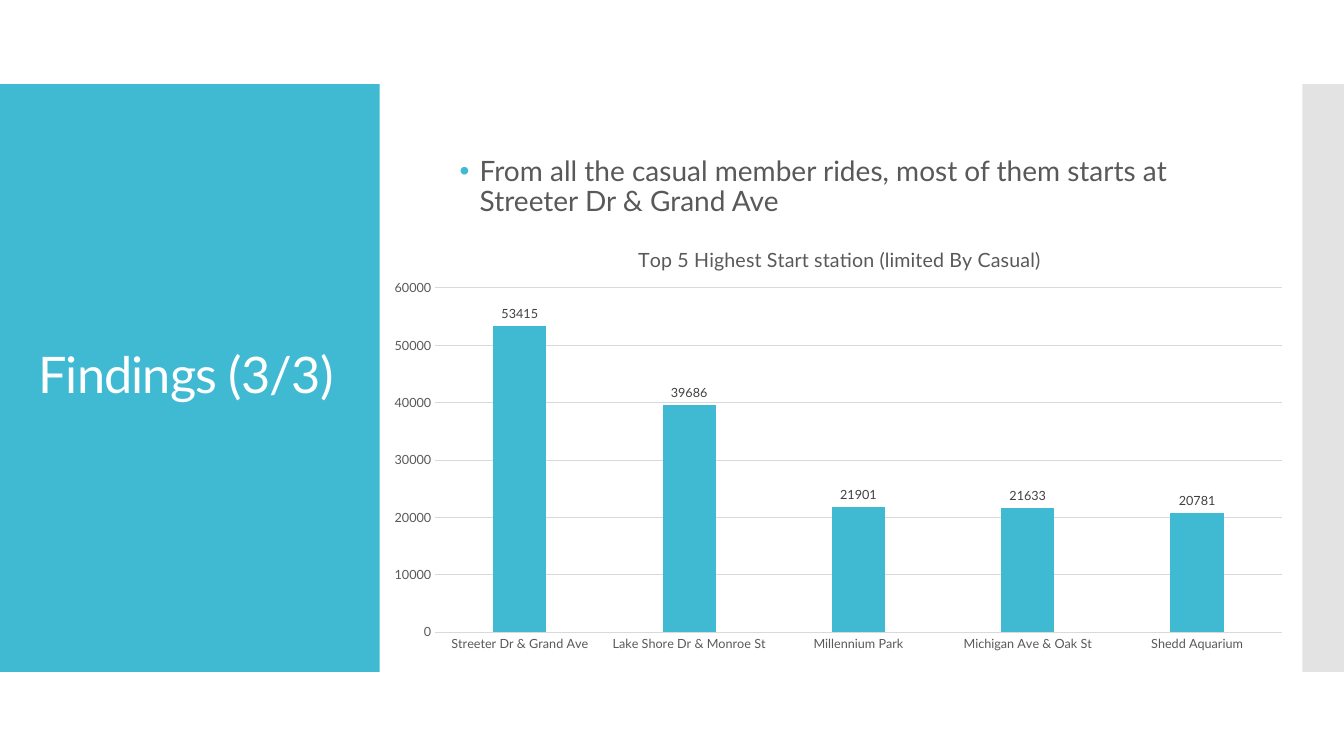
from dataclasses import dataclass
from typing import Any

from pptx import Presentation
from pptx.chart.data import CategoryChartData
from pptx.dml.color import RGBColor
from pptx.enum.chart import XL_CHART_TYPE, XL_LABEL_POSITION, XL_TICK_MARK
from pptx.enum.shapes import MSO_SHAPE
from pptx.enum.text import MSO_ANCHOR
from pptx.oxml import parse_xml
from pptx.oxml.ns import nsdecls, qn
from pptx.util import Pt


@dataclass(frozen=True)
class Theme:
    font: str = "Lato"
    accent: str = "40BAD2"
    strip: str = "C8C8C8"
    white: str = "FFFFFF"
    body: str = "595959"
    label: str = "404040"
    grid: str = "D9D9D9"
    title_size: float = 36
    body_size: float = 20
    chart_title_size: float = 14
    chart_size: float = 9


@dataclass(frozen=True)
class Box:
    left: float
    top: float
    width: float
    height: float

    def lengths(self) -> tuple[Pt, ...]:
        return Pt(self.left), Pt(self.top), Pt(self.width), Pt(self.height)


@dataclass(frozen=True)
class Panel:
    box: Box
    color: str
    opacity: int = 100


@dataclass(frozen=True)
class Passage:
    box: Box
    text: str
    size: float
    color: str
    spacing: int = 0
    bullet: bool = False


THEME = Theme()
BULLET_INDENT = 14.4
BAND_TOP, BAND_HEIGHT = 60, 420

PANELS = (
    Panel(Box(0, BAND_TOP, 271.2, BAND_HEIGHT), THEME.accent),
    Panel(Box(930.4, BAND_TOP, 29.6, BAND_HEIGHT), THEME.strip, 50),
)
PASSAGES = (
    Passage(Box(20.2, 88.6, 231.8, 362), "Findings (3/3)",
            THEME.title_size, THEME.white, spacing=-60),
    Passage(Box(321.2, 89, 576, 90),
            "From all the casual member rides, most of them starts at "
            "Streeter Dr & Grand Ave",
            THEME.body_size, THEME.body, bullet=True),
)
CHART_BOX = Box(268.6, 159.8, 659.5, 312.5)
CHART_TITLE = "Top 5 Highest Start station (limited By Casual)"
RIDES_BY_STATION = {
    "Streeter Dr & Grand Ave": 53415,
    "Lake Shore Dr & Monroe St": 39686,
    "Millennium Park": 21901,
    "Michigan Ave & Oak St": 21633,
    "Shedd Aquarium": 20781,
}


def apply(target: Any, formats: dict[str, Any]) -> None:
    for name, value in formats.items():
        setattr(target, name, value)


def style_font(font: Any, size: float, color: str) -> None:
    apply(font, {"name": THEME.font, "size": Pt(size), "bold": False})
    font.color.rgb = RGBColor.from_string(color)


def draw_panel(slide: Any, panel: Panel) -> None:
    shape = slide.shapes.add_shape(MSO_SHAPE.RECTANGLE, *panel.box.lengths())
    shape.shadow.inherit = False
    shape.line.fill.background()
    shape.fill.solid()
    shape.fill.fore_color.rgb = RGBColor.from_string(panel.color)
    if panel.opacity < 100:
        color = next(shape.element.spPr.iter(qn("a:srgbClr")))
        color.append(parse_xml(
            f'<a:alpha {nsdecls("a")} val="{panel.opacity * 1000}"/>'))


def draw_passage(slide: Any, passage: Passage) -> None:
    frame = slide.shapes.add_textbox(*passage.box.lengths()).text_frame
    apply(frame, {"word_wrap": True, "vertical_anchor": MSO_ANCHOR.MIDDLE})
    paragraph = frame.paragraphs[0]
    paragraph.line_spacing = 0.9
    run = paragraph.add_run()
    run.text = passage.text
    style_font(run.font, passage.size, passage.color)
    if passage.spacing:
        run.font._element.set("spc", str(passage.spacing))
    if passage.bullet:
        properties = paragraph._p.get_or_add_pPr()
        properties.set("marL", str(Pt(BULLET_INDENT)))
        properties.set("indent", str(-Pt(BULLET_INDENT)))
        for bullet_part in (
            f'<a:buClr {nsdecls("a")}><a:srgbClr val="{THEME.accent}"/></a:buClr>',
            f'<a:buFont {nsdecls("a")} typeface="Arial"/>',
            f'<a:buChar {nsdecls("a")} char="\u2022"/>',
        ):
            properties.append(parse_xml(bullet_part))


def place(part: Any, index: int, layout: dict[str, Any]) -> None:
    """Give a chart part a manual layout, in fractions of the chart."""
    for old_layout in part.findall(qn("c:layout")):
        part.remove(old_layout)
    values = "".join(f'<c:{key} val="{value}"/>' for key, value in layout.items())
    part.insert(index, parse_xml(
        f'<c:layout {nsdecls("c")}><c:manualLayout>{values}'
        "</c:manualLayout></c:layout>"))


def draw_line(line: Any) -> None:
    line.color.rgb = RGBColor.from_string(THEME.grid)
    line.width = Pt(0.75)


def draw_rides_chart(slide: Any) -> None:
    rides = CategoryChartData()
    rides.categories = list(RIDES_BY_STATION)
    rides.add_series("Series 1", list(RIDES_BY_STATION.values()))
    chart = slide.shapes.add_chart(
        XL_CHART_TYPE.COLUMN_CLUSTERED, *CHART_BOX.lengths(), rides).chart
    apply(chart, {"has_legend": False, "has_title": True})
    style_font(chart.font, THEME.chart_size, THEME.body)

    # Chart title
    heading = chart.chart_title.text_frame.paragraphs[0].add_run()
    heading.text = CHART_TITLE
    style_font(heading.font, THEME.chart_title_size, THEME.body)
    place(next(chart.element.iter(qn("c:title"))), 1,
          {"xMode": "edge", "yMode": "edge", "x": 0.28, "y": 0.04})
    place(next(chart.element.iter(qn("c:plotArea"))), 0,
          {"layoutTarget": "inner", "xMode": "edge", "yMode": "edge",
           "x": 0.064, "y": 0.147, "w": 0.917, "h": 0.787})

    # Axes
    stations, counts = chart.category_axis, chart.value_axis
    for axis in (stations, counts):
        apply(axis, {"major_tick_mark": XL_TICK_MARK.NONE,
                     "minor_tick_mark": XL_TICK_MARK.NONE})
        style_font(axis.tick_labels.font, THEME.chart_size, THEME.body)
    apply(counts, {"minimum_scale": 0, "maximum_scale": 60000,
                   "major_unit": 10000, "has_major_gridlines": True})
    draw_line(stations.format.line)
    draw_line(counts.major_gridlines.format.line)
    counts.format.line.fill.background()

    # Columns and their values
    plot = chart.plots[0]
    apply(plot, {"gap_width": 219, "overlap": -27, "vary_by_categories": False})
    columns = plot.series[0]
    columns.format.fill.solid()
    columns.format.fill.fore_color.rgb = RGBColor.from_string(THEME.accent)
    labels = columns.data_labels
    apply(labels, {"show_value": True, "position": XL_LABEL_POSITION.OUTSIDE_END})
    style_font(labels.font, THEME.chart_size, THEME.label)


presentation = Presentation()
apply(presentation, {"slide_width": Pt(960), "slide_height": Pt(540)})
findings = presentation.slides.add_slide(presentation.slide_layouts[6])

for side_panel in PANELS:
    draw_panel(findings, side_panel)
for passage_text in PASSAGES:
    draw_passage(findings, passage_text)
draw_rides_chart(findings)

presentation.save("out.pptx")
